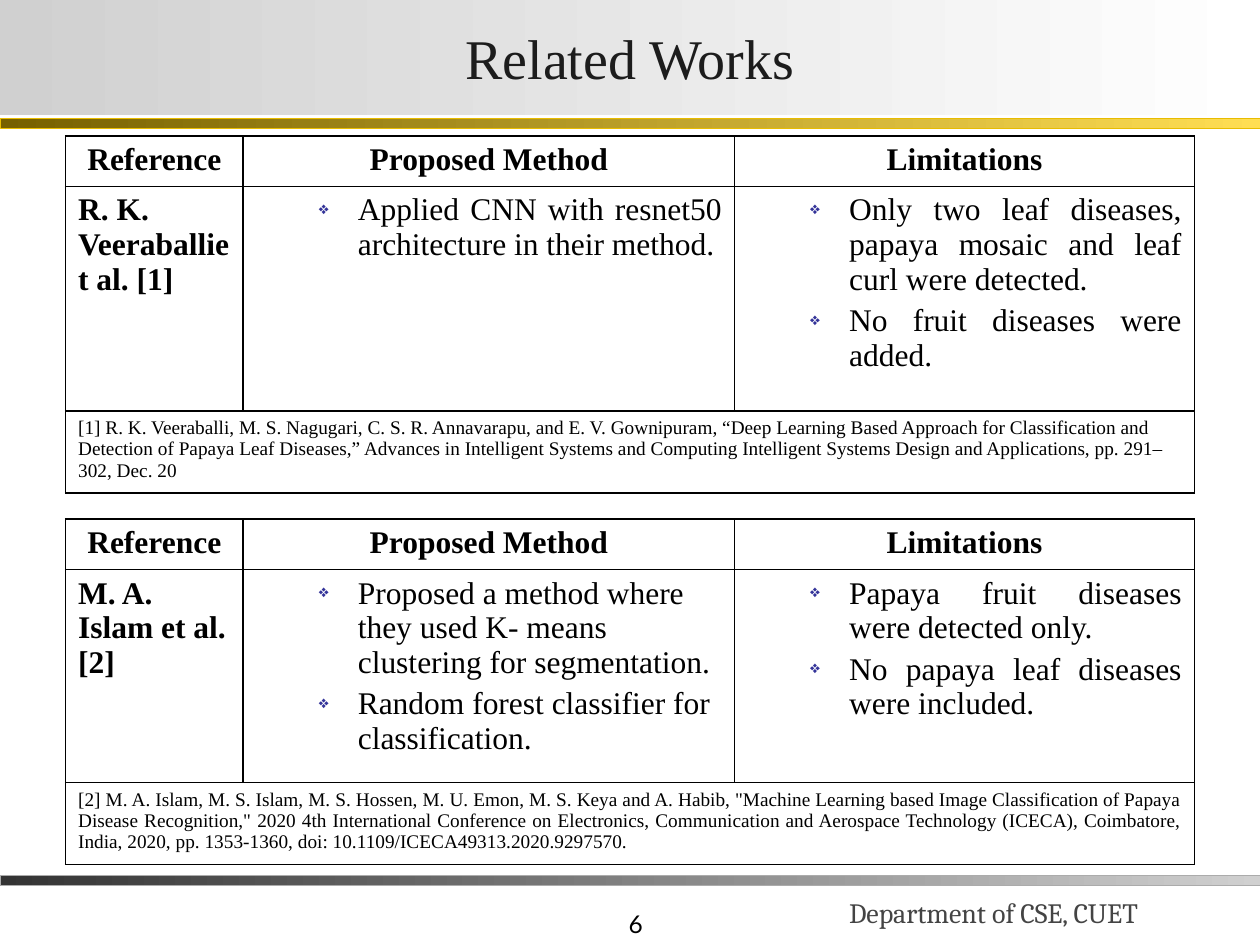
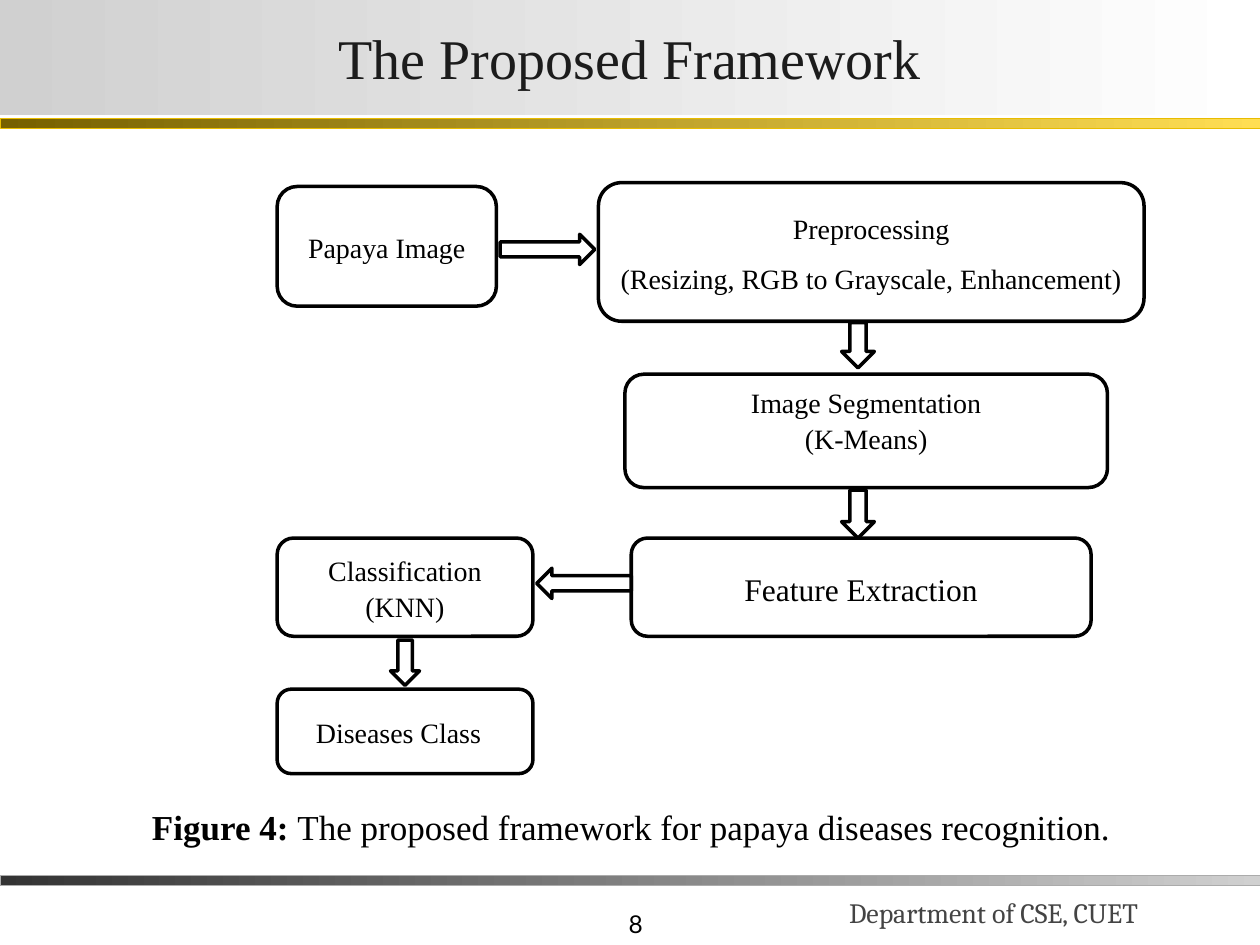
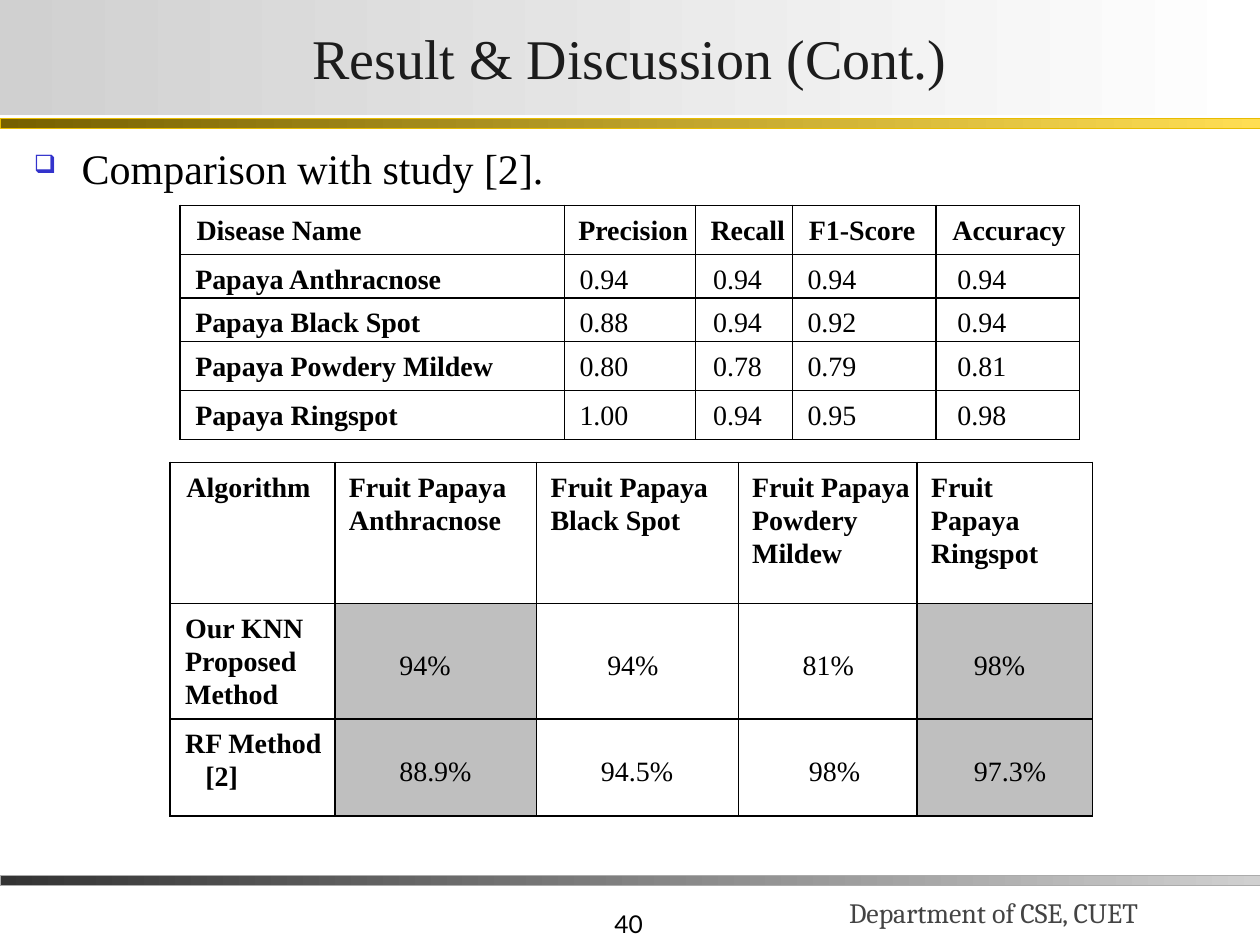
from dataclasses import dataclass

from lxml.etree import SubElement
from pptx import Presentation
from pptx.dml.color import RGBColor
from pptx.enum.shapes import MSO_SHAPE
from pptx.enum.text import MSO_ANCHOR, MSO_AUTO_SIZE, PP_ALIGN
from pptx.oxml.ns import qn
from pptx.util import Inches, Pt


@dataclass(frozen=True)
class Theme:
    font: str = "Times New Roman"
    number_font: str = "Lato"
    footer_font: str = "Cambria"
    black: str = "000000"
    white: str = "FFFFFF"
    title: str = "1C1C1C"
    footer: str = "444444"
    best: str = "BFBFBF"
    bullet: str = "333399"
    heading_bullet: str = "3333CC"
    title_band: tuple = ("D0D0D0", "FFFFFF")
    gold_band: tuple = ("766000", "FFDE53")
    gold_line: str = "E8BC00"
    grey_band: tuple = ("333333", "D0D0D0")
    grey_line: str = "ABABAB"
    title_size: float = 32
    heading_size: float = 24
    caption_size: float = 20
    body_size: float = 18
    small_size: float = 16
    number_size: float = 14
    cite_size: float = 11


T = Theme()
CENTER, JUSTIFY, RIGHT = PP_ALIGN.CENTER, PP_ALIGN.JUSTIFY, PP_ALIGN.RIGHT
MIDDLE, BOTTOM = MSO_ANCHOR.MIDDLE, MSO_ANCHOR.BOTTOM


def rgb(value):
    return RGBColor.from_string(value)


# ---- Text ----
def add_bullet(p, char, color, percent):
    pPr = p._p.get_or_add_pPr()
    SubElement(SubElement(pPr, qn("a:buClr")), qn("a:srgbClr"), val=color)
    SubElement(pPr, qn("a:buSzPct"), val=str(percent * 1000))
    SubElement(pPr, qn("a:buChar"), char=char)


def set_indent(p, left, first=0):
    pPr = p._p.get_or_add_pPr()
    pPr.set("marL", str(Inches(left)))
    pPr.set("indent", str(Inches(first)))


def write(tf, text, size=T.body_size, color=T.black, font=T.font, bold=False, align=None,
          anchor=None, spacing=None, before=0, after=0, indent=None, level=0,
          bullet=None, margins=None):
    """Text is a string or a list of paragraphs; a paragraph may be a list of (text, bold) runs."""
    tf.word_wrap = True
    if anchor is not None:
        tf.vertical_anchor = anchor
    if margins:
        (tf.margin_left, tf.margin_top,
         tf.margin_right, tf.margin_bottom) = map(Inches, margins)
    for i, para in enumerate([text] if isinstance(text, str) else text):
        p = tf.paragraphs[0] if i == 0 else tf.add_paragraph()
        p.level = level
        if indent:
            set_indent(p, *indent)
        if bullet:
            add_bullet(p, *bullet)
        if align is not None:
            p.alignment = align
        if spacing:
            p.line_spacing = spacing
        if before and i:
            p.space_before = Pt(before)
        if after:
            p.space_after = Pt(after)
        for run_text, run_bold in [(para, bold)] if isinstance(para, str) else para:
            r = p.add_run()
            r.text = run_text
            r.font.name, r.font.size, r.font.bold = font, Pt(size), run_bold
            r.font.color.rgb = rgb(color)


def add_text(s, box, text, **fmt):
    write(s.shapes.add_textbox(*map(Inches, box)).text_frame, text, **fmt)


# ---- Shapes ----
def fill_gradient(shape, colors):
    shape.fill.gradient()
    shape.fill.gradient_angle = 0
    for stop, color in zip(shape.fill.gradient_stops, colors):
        stop.color.rgb = rgb(color)


def add_shape(s, kind, box, line, width, fill=None):
    sp = s.shapes.add_shape(kind, *map(Inches, box))
    sp.shadow.inherit = False
    if fill:
        sp.fill.solid()
        sp.fill.fore_color.rgb = rgb(fill)
    else:
        sp.fill.background()
    sp.line.color.rgb = rgb(line)
    sp.line.width = Pt(width)
    return sp


def add_band(s, top, colors, line):
    fill_gradient(add_shape(s, MSO_SHAPE.RECTANGLE, (0, top, 10, 0.08), line, 0.25), colors)


# ---- Slide frame: title, bands, footer ----
def new_slide(prs, title, number):
    s = prs.slides.add_slide(prs.slide_layouts[5])
    sp = s.shapes.title
    sp.left, sp.top, sp.width, sp.height = map(Inches, (0, 0, 10, 0.91))
    fill_gradient(sp, T.title_band)
    sp.text_frame.auto_size = MSO_AUTO_SIZE.NONE
    write(sp.text_frame, title, size=T.title_size, color=T.title, align=CENTER,
          anchor=MIDDLE, margins=(0.02, 0.01, 0.02, 0.01))
    add_band(s, 0.94, T.gold_band, T.gold_line)
    add_band(s, 6.95, T.grey_band, T.grey_line)
    add_text(s, (3.12, 7, 2.08, 0.5), str(number), size=T.number_size,
             font=T.number_font, align=RIGHT, anchor=BOTTOM)
    add_text(s, (6.64, 6.8, 3.44, 0.62), "Department of CSE, CUET", size=T.small_size,
             font=T.footer_font, color=T.footer, anchor=BOTTOM)
    return s


# ---- Tables ----
def set_borders(cell):
    tcPr = cell._tc.get_or_add_tcPr()
    for i, side in enumerate(("lnL", "lnR", "lnT", "lnB")):
        ln = tcPr.makeelement(qn(f"a:{side}"), {"w": str(Pt(1))})
        SubElement(SubElement(ln, qn("a:solidFill")), qn("a:srgbClr"), val=T.black)
        tcPr.insert(i, ln)


def add_grid(s, left, top, cols, rows):
    box = map(Inches, (left, top, sum(cols), sum(rows)))
    table = s.shapes.add_table(len(rows), len(cols), *box).table
    table.first_row = table.horz_banding = False
    for col, width in zip(table.columns, cols):
        col.width = Inches(width)
    for row, height in zip(table.rows, rows):
        row.height = Inches(height)
    for cell in table.iter_cells():
        cell.fill.solid()
        cell.fill.fore_color.rgb = rgb(T.white)
        set_borders(cell)
    return table


def reference_table(s, left, top, rows, author, method, limits, citation,
                    method_align=JUSTIFY, cite_align=None):
    table = add_grid(s, left, top, (1.41, 3.9, 3.65), rows)
    for c, head in enumerate(("Reference", "Proposed Method", "Limitations")):
        write(table.cell(0, c).text_frame, head, bold=True, align=CENTER)
    write(table.cell(1, 0).text_frame, author, bold=True)
    for c, points, align in ((1, method, method_align), (2, limits, JUSTIFY)):
        write(table.cell(1, c).text_frame, points, align=align, level=1, before=3.6,
              indent=(0.81, -0.31), bullet=("❖", T.bullet, 55))
    table.cell(2, 0).merge(table.cell(2, 2))
    write(table.cell(2, 0).text_frame, citation, size=T.cite_size, align=cite_align)


def write_cell(cell, text, bold=False, indent=0.0, anchor=None):
    cell.margin_left, cell.margin_top = Inches(0.11), Inches(0.06)
    cell.margin_right, cell.margin_bottom = Inches(0.04), 0
    if anchor is not None:
        cell.vertical_anchor = anchor
    write(cell.text_frame, text, size=T.small_size, bold=bold, spacing=1.07,
          indent=(indent,))


def score_table(s, left, top):
    table = add_grid(s, left, top, (3.05, 1.04, 0.77, 1.14, 1.14),
                     (0.39, 0.32, 0.32, 0.39, 0.39))
    heads = ("Disease Name", "Precision", "Recall", "F1-Score", "Accuracy")
    for c, (head, indent) in enumerate(zip(heads, (0.02, 0, 0.01, 0.02, 0.02))):
        write_cell(table.cell(0, c), head, bold=True, indent=indent)
    scores = (("Papaya Anthracnose", "0.94", "0.94", "0.94", "0.94"),
              ("Papaya Black Spot", "0.88", "0.94", "0.92", "0.94"),
              ("Papaya Powdery Mildew", "0.80", "0.78", "0.79", "0.81"),
              ("Papaya Ringspot", "1.00", "0.94", "0.95", "0.98"))
    for r, row in enumerate(scores, 1):
        for c, (text, indent) in enumerate(zip(row, (0.01, 0.01, 0.03, 0.01, 0.06))):
            write_cell(table.cell(r, c), text, bold=c == 0, indent=indent)


def algorithm_table(s, left, top):
    table = add_grid(s, left, top, (1.31, 1.6, 1.6, 1.42, 1.39), (1.12, 0.86, 0.77))
    diseases = ("Anthracnose", "Black Spot", "Powdery Mildew", "Ringspot")
    write_cell(table.cell(0, 0), "Algorithm", bold=True, indent=0.02)
    for c, disease in enumerate(diseases, 1):
        write_cell(table.cell(0, c), f"Fruit Papaya {disease}", bold=True)
    rows = ((["Our KNN Proposed", "Method"], ("94%", "94%", "81%", "98%"),
             (0.4, 0.45, 0.4, 0.34)),
            (["RF Method", "[2]"], ("88.9%", "94.5%", "98%", "97.3%"),
             (0.4, 0.4, 0.45, 0.34)))
    for r, (name, values, indents) in enumerate(rows, 1):
        write_cell(table.cell(r, 0), name, bold=True, indent=0.01)
        for c, (value, indent) in enumerate(zip(values, indents), 1):
            write_cell(table.cell(r, c), value, indent=indent, anchor=MIDDLE)
        for c in (1, 4):  # diseases where the proposed method wins
            table.cell(r, c).fill.fore_color.rgb = rgb(T.best)
    set_indent(table.cell(2, 0).text_frame.paragraphs[1], 0.17)


# ---- Flow chart ----
def flow_chart(s, left, top):
    def place(kind, x, y, w, h):
        return add_shape(s, kind, (left + x, top + y, w, h), T.black, 2, T.white)

    # Steps: box, text, size, right and bottom margins
    steps = (
        ((0, 0.03, 1.74, 0.95), "Papaya Image", T.small_size, 0.1, 0.05),
        ((2.55, 0, 4.33, 1.1), ["Preprocessing", "(Resizing, RGB to Grayscale, Enhancement)"],
         T.small_size, 0.1, 0.05),
        ((2.76, 1.52, 3.83, 0.9), ["Image Segmentation", "(K-Means)"],
         T.small_size, 0.1, 0.23),
        ((2.81, 2.82, 3.65, 0.78), "Feature Extraction", T.body_size, 0.1, 0.05),
        ((0, 2.82, 2.03, 0.78), "Classification (KNN)", T.small_size, 0.1, 0.05),
        ((0, 4.02, 2.03, 0.67), "Diseases Class", T.small_size, 0.2, 0.05),
    )
    for box, text, size, right, bottom in steps:
        sp = place(MSO_SHAPE.ROUNDED_RECTANGLE, *box)
        write(sp.text_frame, text, size=size, align=CENTER, anchor=MIDDLE, spacing=1.07,
              after=0 if bottom > 0.05 else 8, margins=(0.1, 0.05, right, bottom))

    # Arrows
    place(MSO_SHAPE.RIGHT_ARROW, 1.77, 0.41, 0.75, 0.24)
    place(MSO_SHAPE.DOWN_ARROW, 4.48, 1.11, 0.26, 0.36)
    place(MSO_SHAPE.DOWN_ARROW, 4.48, 2.44, 0.26, 0.38)
    place(MSO_SHAPE.LEFT_ARROW, 2.06, 3.06, 0.75, 0.24)
    place(MSO_SHAPE.DOWN_ARROW, 0.9, 3.63, 0.23, 0.36)


# ---- Slides ----
def related_works(prs):
    s = new_slide(prs, "Related Works", 6)
    reference_table(
        s, 0.52, 1.08, (0.38, 1.78, 0.61), "R. K. Veeraballiet al. [1]",
        ["Applied CNN with resnet50 architecture in their method."],
        ["Only two leaf diseases, papaya mosaic and leaf curl were detected.",
         "No fruit diseases were added."],
        "[1] R. K. Veeraballi, M. S. Nagugari, C. S. R. Annavarapu, and E. V. Gownipuram, "
        "“Deep Learning Based Approach for Classification and Detection of Papaya Leaf "
        "Diseases,” Advances in Intelligent Systems and Computing Intelligent Systems "
        "Design and Applications, pp. 291–302, Dec. 20")
    reference_table(
        s, 0.52, 4.12, (0.4, 1.69, 0.65), "M. A. Islam et al. [2]",
        ["Proposed a method where they used K- means clustering for segmentation.",
         "Random forest classifier for classification."],
        ["Papaya fruit diseases were detected only.",
         "No papaya leaf diseases were included."],
        "[2] M. A. Islam, M. S. Islam, M. S. Hossen, M. U. Emon, M. S. Keya and A. Habib, "
        "\"Machine Learning based Image Classification of Papaya Disease Recognition,\" "
        "2020 4th International Conference on Electronics, Communication and Aerospace "
        "Technology (ICECA), Coimbatore, India, 2020, pp. 1353-1360, "
        "doi: 10.1109/ICECA49313.2020.9297570.",
        method_align=None, cite_align=JUSTIFY)


def framework(prs):
    s = new_slide(prs, "The Proposed Framework", 8)
    flow_chart(s, 2.2, 1.45)
    caption = add_shape(s, MSO_SHAPE.RECTANGLE, (1.05, 6.34, 7.92, 0.44), T.white, 0.75)
    write(caption.text_frame,
          [[("Figure 4: ", True),
            ("The proposed framework for papaya diseases recognition.", False)]],
          size=T.caption_size, align=CENTER, anchor=MIDDLE)


def results(prs):
    s = new_slide(prs, "Result & Discussion (Cont.)", 40)
    add_text(s, (0.17, 1.08, 9.45, 0.5), "Comparison with study [2].", size=T.heading_size,
             align=JUSTIFY, indent=(0.38, -0.38), bullet=("❑", T.heading_bullet, 60))
    score_table(s, 1.43, 1.63)
    algorithm_table(s, 1.35, 3.67)


def main():
    prs = Presentation()
    prs.slide_width, prs.slide_height = Inches(10), Inches(7.5)
    related_works(prs)
    framework(prs)
    results(prs)
    prs.save("out.pptx")


if __name__ == "__main__":
    main()
